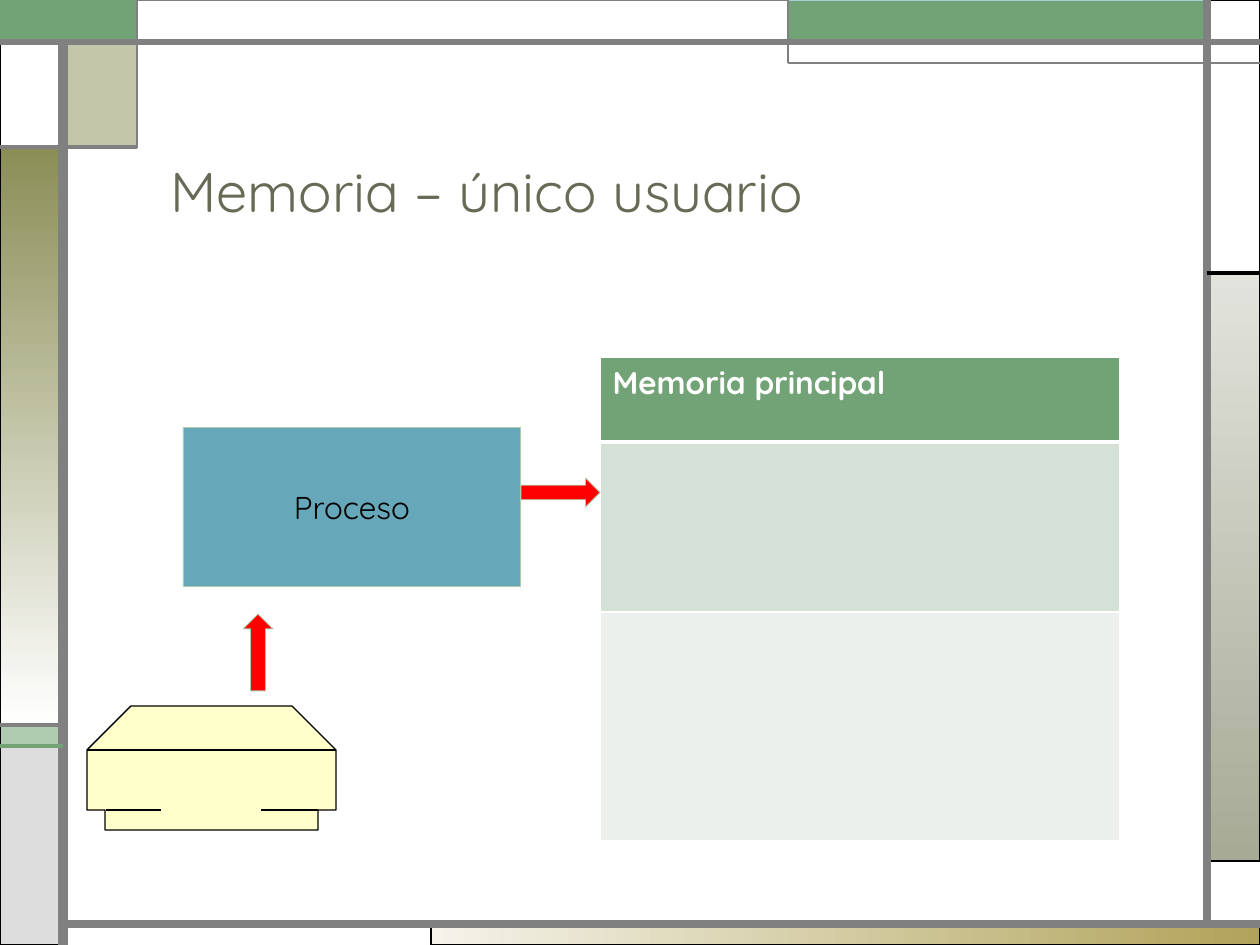
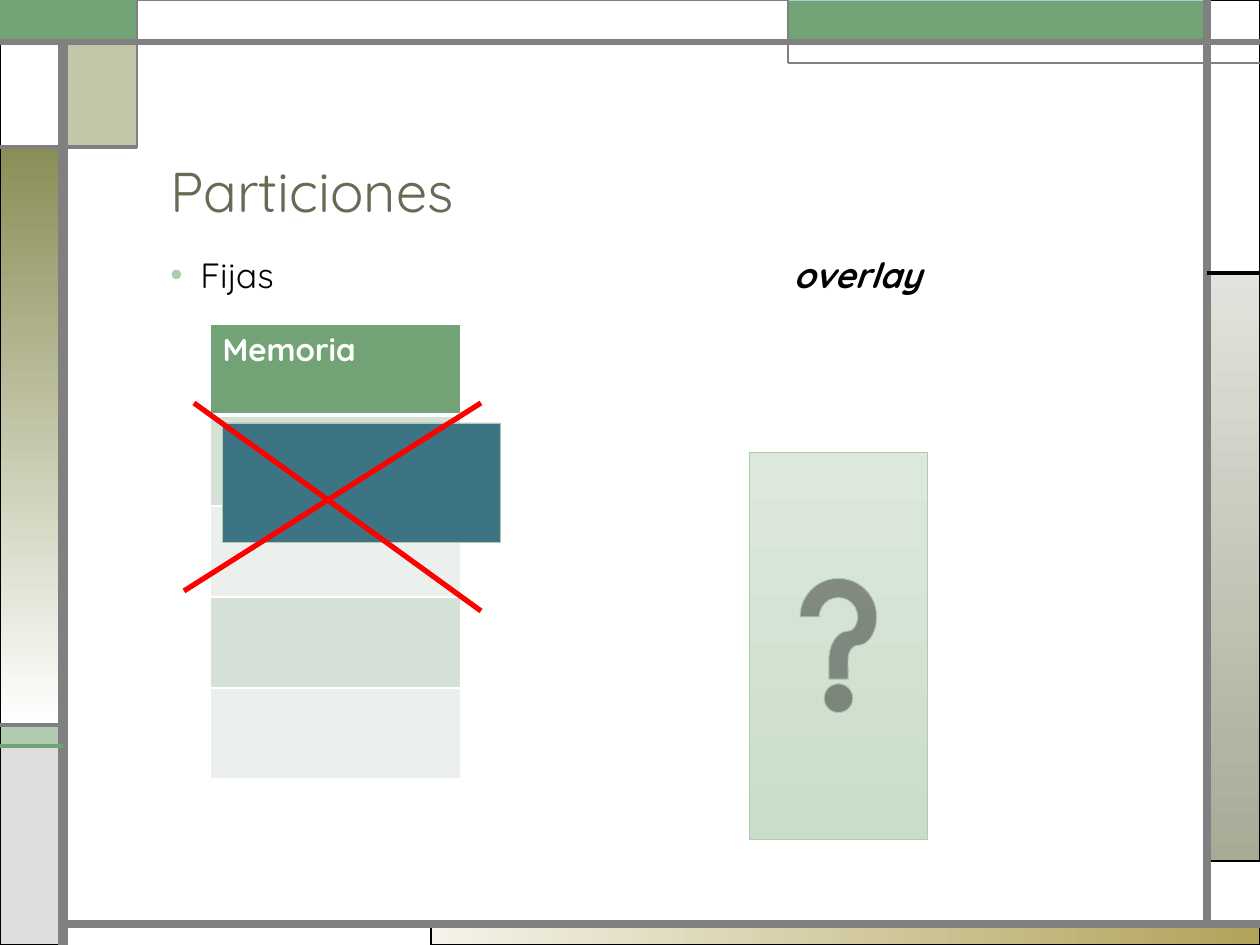
from lxml.etree import SubElement
from pptx import Presentation
from pptx.dml.color import RGBColor
from pptx.enum.shapes import MSO_CONNECTOR, MSO_SHAPE
from pptx.enum.text import MSO_ANCHOR, PP_ALIGN
from pptx.oxml.ns import qn
from pptx.util import Pt

SCALE = 914400 / 126
WIDE, HIGH = 1260, 945
LEFT, RIGHT, TOP, BASE = 63, 1207, 42, 924
FONT = "Quicksand"

WHITE = RGBColor(0xFF, 0xFF, 0xFF)
BLACK = RGBColor(0x00, 0x00, 0x00)
GRAY = RGBColor(0x80, 0x80, 0x80)
SILVER = RGBColor(0xDD, 0xDD, 0xDD)
RED = RGBColor(0xFF, 0x00, 0x00)
GREEN = RGBColor(0x72, 0xA3, 0x76)
MINT = RGBColor(0xB0, 0xCC, 0xB0)
SKY = RGBColor(0xA8, 0xCD, 0xD7)
OLIVE = RGBColor(0x8A, 0x8E, 0x56)
MOSS = RGBColor(0x67, 0x6A, 0x55)
BLUE = RGBColor(0x66, 0xA7, 0xB9)
TEAL = RGBColor(0x3C, 0x74, 0x83)
CREAM = RGBColor(0xFF, 0xFF, 0xCC)
BANDS = [RGBColor(0xD5, 0xE0, 0xD6), RGBColor(0xEB, 0xF0, 0xEC)]
SAND = (RGBColor(0xF5, 0xF3, 0xEA), RGBColor(0xB1, 0xA3, 0x5A))
STONE = (RGBColor(0xE2, 0xE3, 0xDC), RGBColor(0xA7, 0xAA, 0x95))
FADE = (OLIVE, WHITE)
LEAF = (RGBColor(0xDB, 0xE8, 0xDB), RGBColor(0xCA, 0xDD, 0xCA))

PANELS = [
    ((431, BASE, 829, 21), SAND, BLACK, 0.75, 0),
    ((RIGHT, 273, 53, 588), STONE, BLACK, 0.75, 270),
    ((0, 725, LEFT, 21), MINT, BLACK, 0.75, 0),
    ((0, 746, LEFT, 199), SILVER, BLACK, 0.75, 0),
    ((RIGHT, 0, 53, 273), WHITE, BLACK, 0.75, 0),
    ((788, 0, 419, TOP), GREEN, SKY, 0.75, 0),
    ((LEFT, TOP, 74, 105), OLIVE, BLACK, 0.75, 0),
    ((0, 147, LEFT, 578), FADE, BLACK, 0.75, 270),
    ((0, TOP, LEFT, 105), WHITE, BLACK, 0.75, 0),
    ((0, 0, 137, TOP), GREEN, GREEN, 1.5, 0),
    ((137, 0, 651, TOP), WHITE, GRAY, 0.75, 0),
]
RULES = [
    ((LEFT, HIGH, LEFT, TOP), GRAY, 6),
    ((LEFT, BASE, WIDE, BASE), GRAY, 4.5),
    ((RIGHT, BASE, RIGHT, 0), GRAY, 4.5),
    ((0, TOP, WIDE, TOP), GRAY, 3),
    ((WIDE, 63, 788, 63), GRAY, 1.5),
    ((788, 63, 788, 0), GRAY, 1.5),
    ((RIGHT, 273, WIDE, 273), BLACK, 2.25),
    ((137, 0, 137, 147), GRAY, 1.5),
    ((137, 147, 0, 147), GRAY, 2.25),
    ((LEFT, 725, 0, 725), GRAY, 2.25),
    ((LEFT, 746, 0, 746), GREEN, 2.25),
]
DRIVE = [
    [(336, 750), (292, 706), (131, 706), (87, 750), (87, 810), (105, 810),
     (105, 830), (318, 830), (318, 810), (336, 810)],
    [(106, 810), (161, 810)],
    [(318, 810), (261, 810)],
    [(87, 750), (336, 750)],
]


def emu(*sizes):
    return [round(size * SCALE) for size in sizes]


class Deck:
    """Holds the shared style and the slide being drawn."""

    def __init__(self):
        self.show = Presentation()
        self.show.slide_width, self.show.slide_height = emu(WIDE, HIGH)

    def slide(self, title):
        self.shapes = self.show.slides.add_slide(self.show.slide_layouts[6]).shapes
        for box, fill, edge, width, angle in PANELS:
            panel = self.shape(box, fill, edge, width, angle)
            if fill == OLIVE:
                tint = panel._element.spPr.find(".//" + qn("a:srgbClr"))
                SubElement(tint, qn("a:alpha"), val="50000")
        for ends, color, width in RULES:
            self.line(ends, color, width)
        self.text((158, 73, 992, 158), title, MOSS, 32, anchor=MSO_ANCHOR.BOTTOM)

    def paint(self, shape, fill, edge, width, angle=0):
        shape.shadow.inherit = False
        if isinstance(fill, tuple) and not isinstance(fill, RGBColor):
            shape.fill.gradient()
            shape.fill.gradient_angle = angle
            for stop, color in zip(shape.fill.gradient_stops, fill):
                stop.color.rgb = color
        else:
            shape.fill.solid()
            shape.fill.fore_color.rgb = fill
        shape.line.color.rgb = edge
        shape.line.width = Pt(width)
        return shape

    def shape(self, box, fill, edge=MINT, width=0.5, angle=0, kind=MSO_SHAPE.RECTANGLE):
        return self.paint(self.shapes.add_shape(kind, *emu(*box)), fill, edge, width, angle)

    def line(self, ends, color, width):
        rule = self.shapes.add_connector(MSO_CONNECTOR.STRAIGHT, *emu(*ends))
        rule.line.color.rgb = color
        rule.line.width = Pt(width)
        SubElement(rule._element.spPr, qn("a:effectLst"))

    def outline(self, parts, fill, edge, width):
        first, *marks = parts
        pen = self.shapes.build_freeform(*first[0], scale=SCALE)
        pen.add_line_segments(first[1:], close=True)
        for start, end in marks:
            pen.move_to(*start)
            pen.add_line_segments([end], close=False)
        self.paint(pen.convert_to_shape(), fill, edge, width)

    def label(self, frame, words, color, size, **form):
        part = frame.paragraphs[0]
        run = part.add_run()
        run.text = words
        run.font.color.rgb = color
        for key, value in {"name": FONT, "size": Pt(size), **form}.items():
            setattr(run.font, key, value)
        return part

    def text(self, box, words, color, size, anchor=MSO_ANCHOR.TOP, **form):
        frame = self.shapes.add_textbox(*emu(*box)).text_frame
        frame.word_wrap = True
        frame.vertical_anchor = anchor
        part = self.label(frame, words, color, size, **form)
        part.line_spacing = 0.9
        return part

    def bullet(self, part, color):
        part.space_before = Pt(18)
        props = part._p.get_or_add_pPr()
        gap = emu(30)[0]
        for key, value in {"marL": gap, "indent": -gap}.items():
            props.set(key, str(value))
        SubElement(SubElement(props, qn("a:buClr")), qn("a:srgbClr"), val=str(color))
        SubElement(props, qn("a:buFont"), typeface="Arial")
        SubElement(props, qn("a:buChar"), char="•")

    def table(self, spot, width, rows, head):
        grid = self.shapes.add_table(len(rows), 1, *emu(*spot, width, sum(rows))).table
        for index, height in enumerate(rows):
            grid.rows[index].height = emu(height)[0]
            cell = grid.cell(index, 0)
            above = 3 if index == 1 else 1
            below = 1 if index else 3
            for side, thick in {"L": 1, "R": 1, "T": above, "B": below}.items():
                edge = SubElement(cell._tc.get_or_add_tcPr(), qn("a:ln" + side), w=str(int(Pt(thick))))
                SubElement(SubElement(edge, qn("a:solidFill")), qn("a:srgbClr"), val=str(WHITE))
            cell.fill.solid()
            cell.fill.fore_color.rgb = BANDS[(index - 1) % 2] if index else GREEN
        self.label(grid.cell(0, 0).text_frame, head, WHITE, 18, bold=True)


def main():
    deck = Deck()

    deck.slide("Memoria – único usuario")
    deck.table((600, 357), 520, [85, 170, 229], "Memoria principal")
    task = deck.shape((183, 427, 338, 159), BLUE)
    task.text_frame.vertical_anchor = MSO_ANCHOR.MIDDLE
    deck.label(task.text_frame, "Proceso", BLACK, 18).alignment = PP_ALIGN.CENTER
    deck.shape((521, 478, 79, 29), RED, kind=MSO_SHAPE.RIGHT_ARROW)
    deck.outline(DRIVE, CREAM, BLACK, 0.75)
    deck.shape((243, 614, 30, 77), RED, kind=MSO_SHAPE.UP_ARROW)

    deck.slide("Particiones")
    deck.bullet(deck.text((158, 252, 600, 60), "Fijas", BLACK, 20), MINT)
    note = deck.text((781, 252, 369, 60), "overlay", BLACK, 20, bold=True, italic=True)
    note.space_before = Pt(18)
    deck.table((210, 324), 251, [91] * 5, "Memoria")
    deck.shape((223, 423, 278, 119), TEAL)
    for ends in [(194, 403, 481, 611), (481, 403, 184, 591)]:
        deck.line(ends, RED, 3)
    deck.shape((749, 452, 179, 387), LEAF, angle=270, kind=MSO_SHAPE.ACTION_BUTTON_HELP)

    deck.show.save("out.pptx")


if __name__ == "__main__":
    main()
